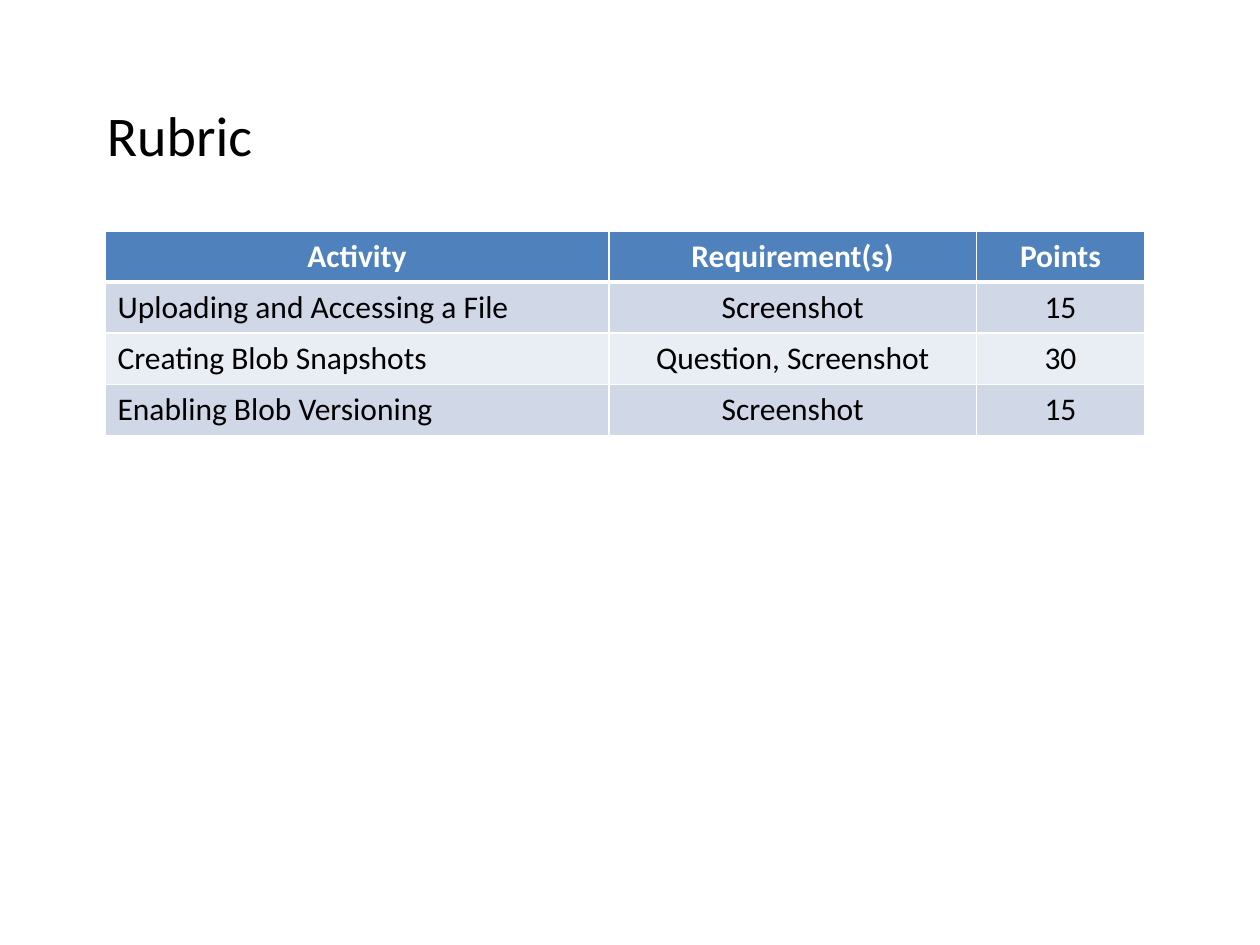
import pptx
import pptx.dml.color
import pptx.enum.text
import pptx.oxml.ns
import pptx.util
from lxml import etree

Pt = pptx.util.Pt
RGBColor = pptx.dml.color.RGBColor
Align = pptx.enum.text.PP_ALIGN

BLACK = RGBColor(0x00, 0x00, 0x00)
WHITE = RGBColor(0xFF, 0xFF, 0xFF)
HEADER_BLUE = RGBColor(0x4F, 0x81, 0xBD)
BAND_DARK = RGBColor(0xD0, 0xD8, 0xE8)
BAND_LIGHT = RGBColor(0xE9, 0xED, 0xF4)

RUBRIC = [
    ("Activity", "Requirement(s)", "Points"),
    ("Uploading and Accessing a File", "Screenshot", "15"),
    ("Creating Blob Snapshots", "Question, Screenshot", "30"),
    ("Enabling Blob Versioning", "Screenshot", "15"),
]
COLUMN_WIDTHS = [288, 210, 96]
ROW_HEIGHT = 29.2


def add_element(parent, tag, **attributes):
    return etree.SubElement(parent, pptx.oxml.ns.qn(tag), attributes)


class SlideBuilder:
    font = "Calibri"
    title_size = 32
    table_size = 18

    def __init__(self, page):
        self.page = page

    def format_text(self, para, size, color, bold=False):
        for span in para.runs:
            span.font.name = self.font
            span.font.size = Pt(size)
            span.font.bold = bold
            span.font.color.rgb = color

    def title(self, text, left, top, width, height):
        box = self.page.shapes.add_textbox(Pt(left), Pt(top), Pt(width), Pt(height))
        box.text_frame.word_wrap = True
        para = box.text_frame.paragraphs[0]
        para.text = text
        self.format_text(para, self.title_size, BLACK)
        properties = para._p.get_or_add_pPr()
        properties.set("marL", str(Pt(27)))
        properties.set("indent", str(-Pt(27)))
        spacing = add_element(properties, "a:spcBef")
        add_element(spacing, "a:spcPct", val="20000")

    def borders(self, cell, bottom_width):
        """Draw white cell borders; they must precede the fill in the XML."""
        properties = cell._tc.get_or_add_tcPr()
        widths = {"a:lnL": 1, "a:lnR": 1, "a:lnT": 1, "a:lnB": bottom_width}
        for tag, width in widths.items():
            line = add_element(properties, tag, w=str(Pt(width)))
            fill = add_element(line, "a:solidFill")
            add_element(fill, "a:srgbClr", val=str(WHITE))

    def table(self, rows, left, top, widths, row_height):
        frame = self.page.shapes.add_table(
            len(rows), len(widths), Pt(left), Pt(top),
            Pt(sum(widths)), Pt(row_height * len(rows)))
        table = frame.table
        for column, width in zip(table.columns, widths):
            column.width = Pt(width)
        for row_index, texts in enumerate(rows):
            table.rows[row_index].height = Pt(row_height)
            header = row_index == 0
            band = BAND_DARK if row_index % 2 else BAND_LIGHT
            for column_index, text in enumerate(texts):
                cell = table.cell(row_index, column_index)
                self.borders(cell, 3 if header else 1)
                cell.fill.solid()
                cell.fill.fore_color.rgb = HEADER_BLUE if header else band
                para = cell.text_frame.paragraphs[0]
                para.text = text
                centred = header or column_index > 0
                para.alignment = Align.CENTER if centred else Align.LEFT
                self.format_text(para, self.table_size,
                                 WHITE if header else BLACK, header)
                if row_index == 1:
                    top_line = cell._tc.tcPr.find(pptx.oxml.ns.qn("a:lnT"))
                    top_line.set("w", str(Pt(3)))


def main():
    deck = pptx.Presentation()
    deck.slide_width, deck.slide_height = Pt(720), Pt(540)
    builder = SlideBuilder(deck.slides.add_slide(deck.slide_layouts[6]))
    builder.title("Rubric", 54, 54, 648, 356.4)
    builder.table(RUBRIC, 60, 132, COLUMN_WIDTHS, ROW_HEIGHT)
    deck.save("out.pptx")


if __name__ == "__main__":
    main()
